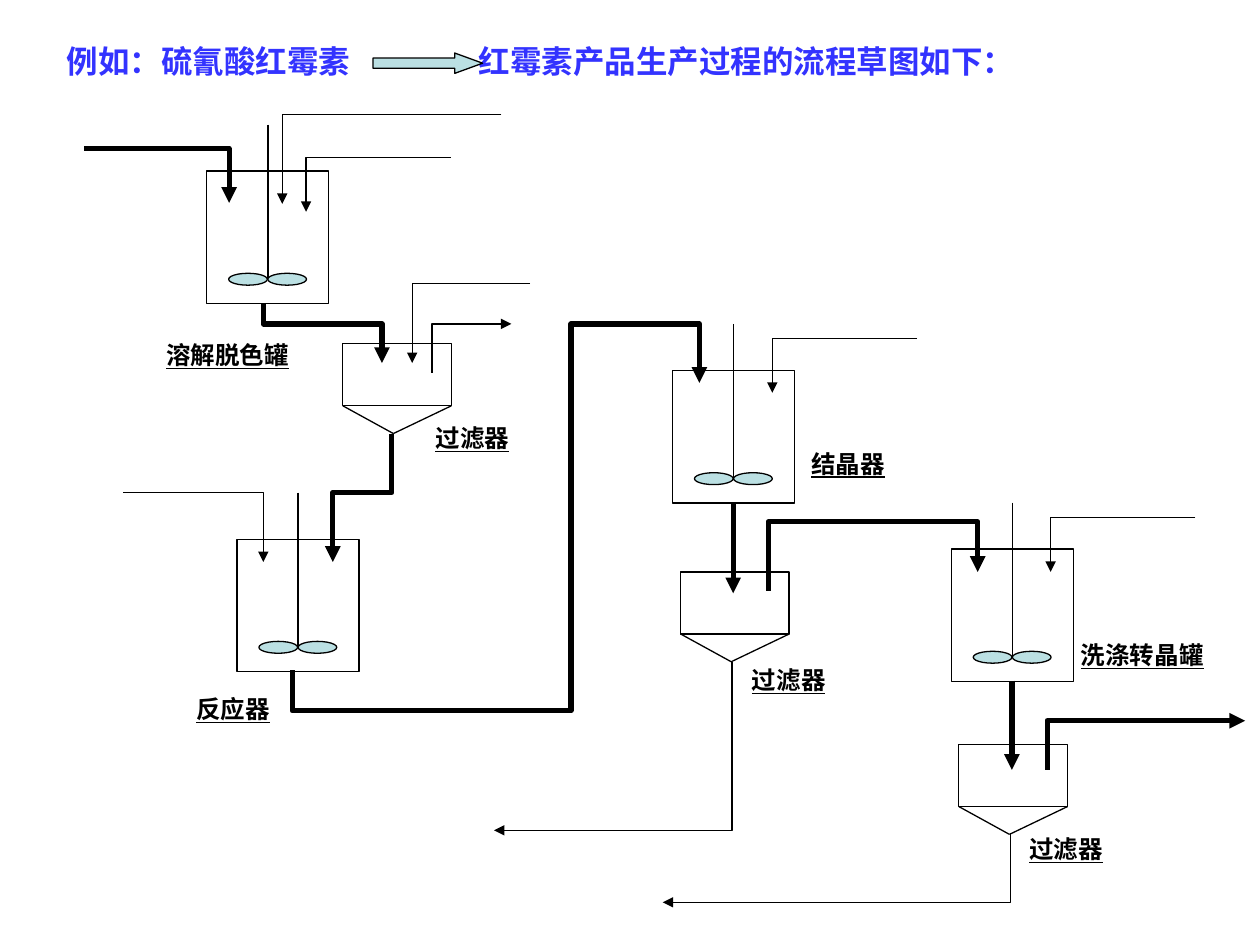
from lxml import etree
from pptx import Presentation
from pptx.dml.color import RGBColor
from pptx.enum.shapes import MSO_CONNECTOR, MSO_SHAPE
from pptx.enum.text import MSO_ANCHOR, MSO_AUTO_SIZE, PP_ALIGN
from pptx.oxml.ns import qn
from pptx.util import Cm, Pt

BLACK = RGBColor(0x00, 0x00, 0x00)
TITLE_BLUE = RGBColor(0x33, 0x33, 0xFF)
PALE_BLUE = RGBColor(0xBB, 0xE0, 0xE3)
THIN, THICK = 0.75, 3

presentation = Presentation()
presentation.slide_width, presentation.slide_height = Cm(25.4), Cm(19.05)
slide = presentation.slides.add_slide(presentation.slide_layouts[5])


def style(shape, width=THIN, fill=None, arrow=False):
    shape.line.color.rgb = BLACK
    shape.line.width = Pt(width)
    if arrow:
        line = shape._element.spPr.find(qn("a:ln"))
        etree.SubElement(line, qn("a:tailEnd"), type="triangle")
    if not hasattr(shape, "fill"):
        etree.SubElement(shape._element.spPr, qn("a:effectLst"))
        return
    shape.shadow.inherit = False
    if fill is None:
        shape.fill.background()
    else:
        shape.fill.solid()
        shape.fill.fore_color.rgb = fill


def add_line(shapes, x1, y1, x2, y2, width=THIN, arrow=False):
    connector = shapes.add_connector(MSO_CONNECTOR.STRAIGHT, Cm(x1), Cm(y1), Cm(x2), Cm(y2))
    style(connector, width, arrow=arrow)


title = slide.shapes.title
title.left, title.top, title.width, title.height = Cm(1.09), Cm(0.71), Cm(22.81), Cm(1.02)
title.text_frame.auto_size = MSO_AUTO_SIZE.NONE
title.text_frame.vertical_anchor = MSO_ANCHOR.TOP
paragraph = title.text_frame.paragraphs[0]
paragraph.text = "例如：硫氰酸红霉素\t红霉素产品生产过程的流程草图如下："
paragraph.alignment = PP_ALIGN.LEFT
tab_list = etree.SubElement(paragraph._p.get_or_add_pPr(), qn("a:tabLst"))
etree.SubElement(tab_list, qn("a:tab"), pos=str(Cm(8.31)), algn="l")
paragraph.font.name = "Arial"
paragraph.font.size = Pt(18)
paragraph.font.bold = True
paragraph.font.color.rgb = TITLE_BLUE

title_arrow = slide.shapes.add_shape(
    MSO_SHAPE.RIGHT_ARROW, Cm(7.52), Cm(1.07), Cm(2.21), Cm(0.41))
title_arrow.adjustments[1] = 1.37
style(title_arrow, fill=PALE_BLUE)

tanks = [(4.17, 3.45), (4.78, 10.87), (13.56, 7.47), (19.18, 11.07)]
for left, top in tanks:
    vessel = slide.shapes.add_shape(MSO_SHAPE.RECTANGLE, Cm(left), Cm(top), Cm(2.46), Cm(2.67))
    style(vessel)
    shaft = left + 1.23
    add_line(slide.shapes, shaft, top - 0.94, shaft, top + 2.2)
    for blade_left in (shaft - 0.79, shaft):
        blade = slide.shapes.add_shape(
            MSO_SHAPE.OVAL, Cm(blade_left), Cm(top + 2.06), Cm(0.78), Cm(0.24))
        style(blade, fill=PALE_BLUE)

filters = [(6.91, 6.93), (13.72, 11.53), (19.33, 15.01)]
for left, top in filters:
    group = slide.shapes.add_group_shape()
    body = group.shapes.add_shape(MSO_SHAPE.RECTANGLE, Cm(left), Cm(top), Cm(2.19), Cm(1.25))
    style(body)
    for side in (left, left + 2.19):
        add_line(group.shapes, side, top + 1.25, left + 1.02, top + 1.81)

pipes = [
    (THICK, [(1.7, 3), (4.62, 3), (4.62, 4.09)]),
    (THICK, [(5.31, 6.12), (5.31, 6.53), (7.7, 6.53), (7.7, 7.32)]),
    (THICK, [(7.9, 8.74), (7.9, 9.93), (6.71, 9.93), (6.71, 11.33)]),
    (THICK, [(5.89, 13.51), (5.89, 14.33), (11.51, 14.33),
             (11.51, 6.53), (14.1, 6.53), (14.1, 7.72)]),
    (THICK, [(15.49, 11.91), (15.49, 10.52), (19.71, 10.52), (19.71, 11.53)]),
    (THICK, [(21.11, 15.52), (21.11, 14.53), (25.1, 14.53)]),
    (THIN, [(10.11, 2.31), (5.69, 2.31), (5.69, 4.11)]),
    (THIN, [(9.09, 3.18), (6.17, 3.18), (6.17, 4.27)]),
    (THIN, [(10.69, 5.72), (8.31, 5.72), (8.31, 7.32)]),
    (THIN, [(8.71, 7.52), (8.71, 6.53), (10.31, 6.53)]),
    (THIN, [(2.49, 9.93), (5.31, 9.93), (5.31, 11.33)]),
    (THIN, [(18.49, 6.83), (15.57, 6.83), (15.57, 7.92)]),
    (THIN, [(24.1, 10.44), (21.18, 10.44), (21.18, 11.53)]),
    (THIN, [(14.76, 13.34), (14.76, 16.74), (9.96, 16.74)]),
    (THIN, [(20.37, 16.79), (20.37, 18.19), (13.36, 18.19)]),
]
for width, corners in pipes:
    points = [(Cm(x), Cm(y)) for x, y in corners]
    builder = slide.shapes.build_freeform(*points[0])
    builder.add_line_segments(points[1:], close=False)
    style(builder.convert_to_shape(), width, arrow=True)

for x, top in [(14.78, 10.16), (20.4, 13.72)]:
    add_line(slide.shapes, x, top, x, top + 1.8, THICK, arrow=True)

labels = [
    ("溶解脱色罐", 3.1, 6.73, 3.2),
    ("过滤器", 8.53, 8.41, 2.21),
    ("过滤器", 14.91, 13.28, 2.21),
    ("过滤器", 20.5, 16.69, 2.21),
    ("反应器", 3.71, 13.87, 2.21),
    ("结晶器", 16.1, 8.92, 2.21),
    ("洗涤转晶罐", 21.54, 12.78, 3.2),
]
for text, left, top, width in labels:
    label = slide.shapes.add_textbox(Cm(left), Cm(top), Cm(width), Cm(0.86))
    label.text_frame.word_wrap = True
    paragraph = label.text_frame.paragraphs[0]
    paragraph.text = text
    paragraph.font.name = "Arial"
    paragraph.font.size = Pt(14)
    paragraph.font.bold = True
    paragraph.font.underline = True
    paragraph.font.color.rgb = BLACK

presentation.save("out.pptx")
